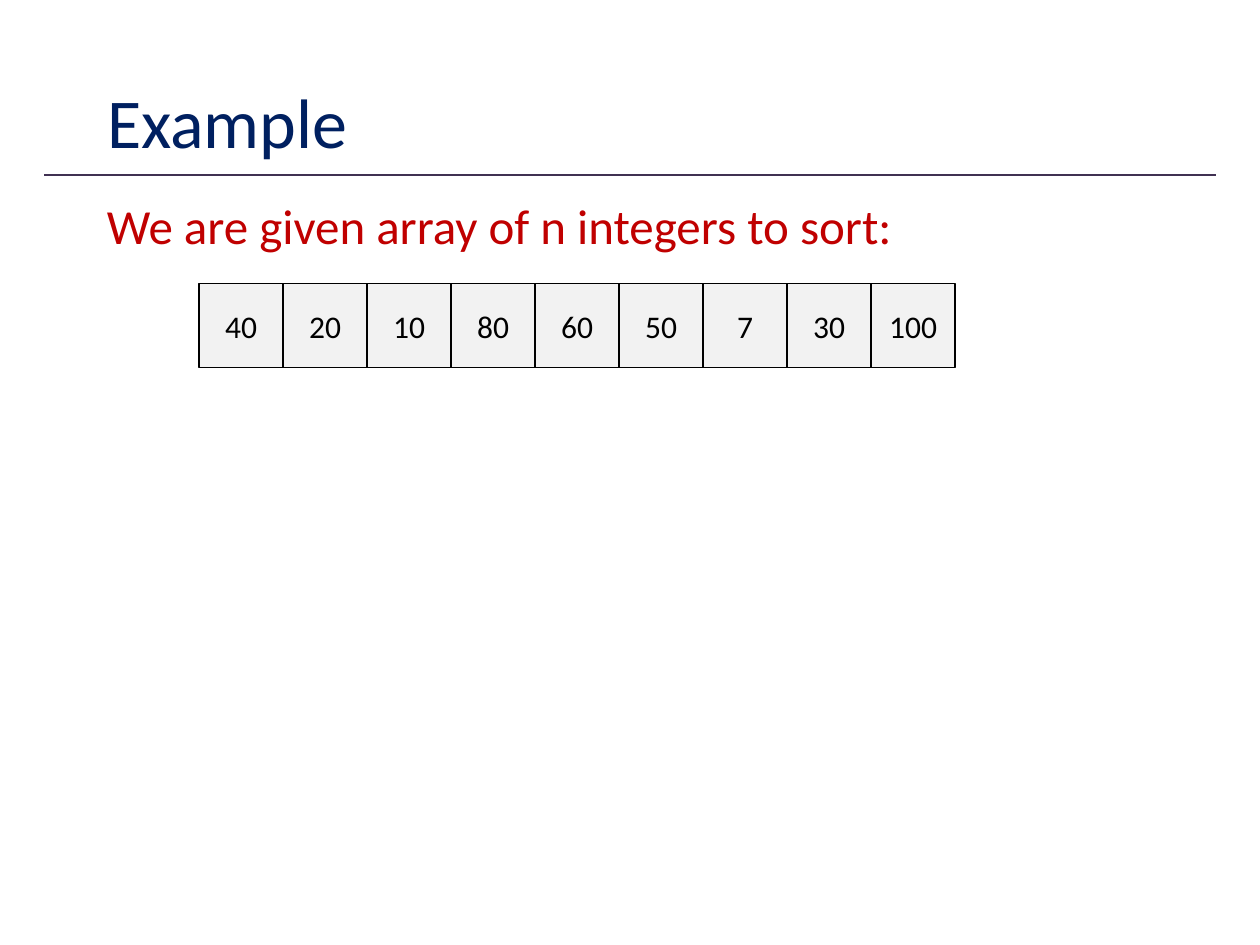
from lxml.etree import SubElement
from pptx import Presentation
from pptx.dml.color import RGBColor
from pptx.enum.shapes import MSO_CONNECTOR, MSO_SHAPE
from pptx.enum.text import MSO_ANCHOR, PP_ALIGN
from pptx.oxml.ns import qn
from pptx.util import Inches, Pt


def color(hex_string):
    return RGBColor.from_string(hex_string)


def write(frame, text, size, ink, align, anchor):
    frame.text = text
    frame.vertical_anchor = anchor
    paragraph = frame.paragraphs[0]
    paragraph.alignment = align
    paragraph.font.name = "Calibri"
    paragraph.font.size = Pt(size)
    paragraph.font.color.rgb = color(ink)


prs = Presentation()
prs.slide_width = Inches(10)
prs.slide_height = Inches(7.5)
slide = prs.slides.add_slide(prs.slide_layouts[5])

rule = slide.shapes.add_connector(
    MSO_CONNECTOR.STRAIGHT, Inches(0.35), Inches(1.39), Inches(9.65), Inches(1.39)
)
rule.line.color.rgb = color("403152")
rule.line.width = Pt(1)
SubElement(rule._element.spPr, qn("a:effectLst"))

heading = slide.shapes.title
heading.left, heading.top = Inches(0.75), Inches(0.33)
heading.width, heading.height = Inches(8.5), Inches(1.25)
write(heading.text_frame, "Example", 40, "002060", PP_ALIGN.LEFT, MSO_ANCHOR.MIDDLE)

task = slide.shapes.add_textbox(Inches(0.75), Inches(1.5), Inches(8.5), Inches(4.5))
task.text_frame.word_wrap = True
write(task.text_frame, "We are given array of n integers to sort:", 28, "C00000",
      PP_ALIGN.LEFT, MSO_ANCHOR.TOP)

numbers = [40, 20, 10, 80, 60, 50, 7, 30, 100]
side = Inches(2 / 3)
for index, number in enumerate(numbers):
    cell = slide.shapes.add_shape(
        MSO_SHAPE.RECTANGLE, Inches(1.58) + index * side, Inches(2.25), side, side
    )
    cell.shadow.inherit = False
    cell.fill.solid()
    cell.fill.fore_color.rgb = color("F2F2F2")
    cell.line.color.rgb = color("000000")
    cell.line.width = Pt(0.75)
    cell.text_frame.word_wrap = False
    write(cell.text_frame, str(number), 18, "000000", PP_ALIGN.CENTER, MSO_ANCHOR.MIDDLE)

prs.save("out.pptx")
